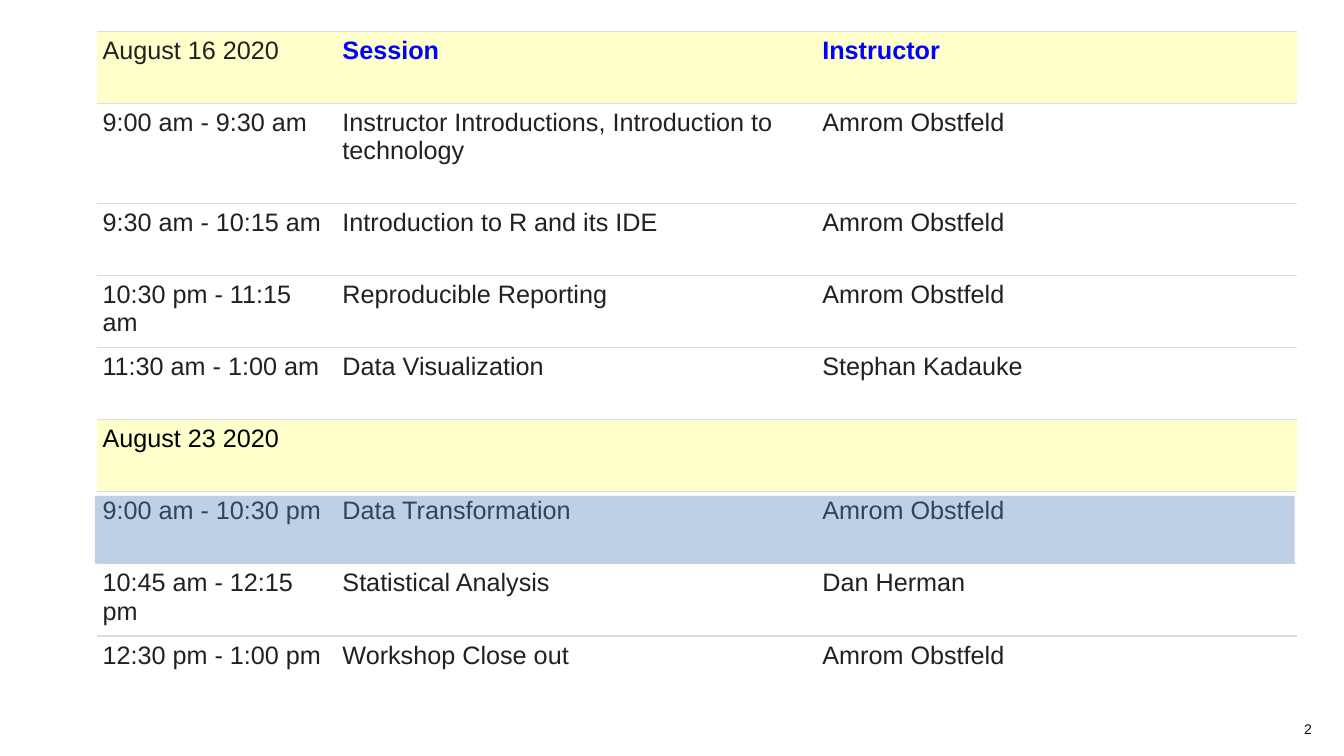
from dataclasses import dataclass

from lxml import etree
from pptx import Presentation
from pptx.dml.color import RGBColor
from pptx.enum.shapes import MSO_SHAPE
from pptx.enum.text import MSO_ANCHOR
from pptx.oxml.ns import qn
from pptx.slide import Slide
from pptx.table import _Cell
from pptx.text.text import _Paragraph
from pptx.util import Pt

RECTANGLE = MSO_SHAPE.RECTANGLE
MIDDLE = MSO_ANCHOR.MIDDLE

WHITE = RGBColor(0xFF, 0xFF, 0xFF)
BLACK = RGBColor(0x00, 0x00, 0x00)
INK = RGBColor(0x21, 0x21, 0x21)
PAGE_INK = RGBColor(0x0D, 0x0D, 0x0D)
HEADING_BLUE = RGBColor(0x00, 0x00, 0xFF)
DAY_YELLOW = RGBColor(0xFF, 0xFF, 0xCC)
HIGHLIGHT_BLUE = RGBColor(0x4F, 0x81, 0xBD)
RULE_GREY = RGBColor(0xDD, 0xDD, 0xDD)

FONT = "Arial"
COLUMN_WIDTHS = (171.4, 342.8, 342.8)
ROW_HEIGHT = 51.5
CELL_MARGIN = 3.75


@dataclass(frozen=True)
class Box:
    left: float
    top: float
    width: float
    height: float

    def emu(self) -> tuple[Pt, Pt, Pt, Pt]:
        return Pt(self.left), Pt(self.top), Pt(self.width), Pt(self.height)


@dataclass(frozen=True)
class Row:
    time: str
    session: str = ""
    instructor: str = ""
    height: float = ROW_HEIGHT
    fill: RGBColor = WHITE
    time_color: RGBColor = INK
    heading: bool = False


SCHEDULE = (
    Row("August 16 2020", "Session", "Instructor", fill=DAY_YELLOW, heading=True),
    Row("9:00 am - 9:30 am", "Instructor Introductions, Introduction to technology",
        "Amrom Obstfeld", height=71.6),
    Row("9:30 am - 10:15 am", "Introduction to R and its IDE", "Amrom Obstfeld"),
    Row("10:30 pm - 11:15 am", "Reproducible Reporting", "Amrom Obstfeld"),
    Row("11:30 am - 1:00 am", "Data Visualization", "Stephan Kadauke"),
    Row("August 23 2020", fill=DAY_YELLOW, time_color=BLACK),
    Row("9:00 am - 10:30 pm", "Data Transformation", "Amrom Obstfeld"),
    Row("10:45 am - 12:15 pm", "Statistical Analysis", "Dan Herman"),
    Row("12:30 pm - 1:00 pm", "Workshop Close out", "Amrom Obstfeld"),
)

MARGIN_PATCH = Box(0, 16.6, 79.9, 169.2)
TABLE_BOX = Box(69.5, 22.3, sum(COLUMN_WIDTHS), sum(row.height for row in SCHEDULE))
HIGHLIGHT = Box(67.7, 354.3, 857, 48.2)
PAGE_NUMBER = Box(924.5, 509.8, 25.9, 21.6)


def style_text(paragraph: _Paragraph, size: float, color: RGBColor, bold: bool = False) -> None:
    font = paragraph.font
    for target in [font, *(run.font for run in paragraph.runs)]:
        target.name = FONT
        target.size = Pt(size)
        target.bold = bold
        target.color.rgb = color


def set_borders(cell: _Cell, ruled_sides: str) -> None:
    properties = cell._tc.get_or_add_tcPr()
    for position, side in enumerate("LRTB"):
        line = etree.Element(qn(f"a:ln{side}"), w=str(Pt(1)))
        if side in ruled_sides:
            fill = etree.SubElement(line, qn("a:solidFill"))
            etree.SubElement(fill, qn("a:srgbClr"), val=str(RULE_GREY))
        else:
            etree.SubElement(line, qn("a:noFill"))
        properties.insert(position, line)


def fill_cell(cell: _Cell, text: str, fill: RGBColor, color: RGBColor, bold: bool,
              ruled_sides: str) -> None:
    cell.fill.solid()
    cell.fill.fore_color.rgb = fill
    cell.margin_left = cell.margin_right = Pt(CELL_MARGIN)
    cell.margin_top = cell.margin_bottom = Pt(CELL_MARGIN)
    cell.text_frame.text = text
    paragraph = cell.text_frame.paragraphs[0]
    paragraph.space_after = Pt(15)
    style_text(paragraph, 18, color, bold)
    set_borders(cell, ruled_sides)


def add_schedule(slide: Slide) -> None:
    table = slide.shapes.add_table(len(SCHEDULE), len(COLUMN_WIDTHS), *TABLE_BOX.emu()).table
    table.first_row = False
    table.horz_banding = False
    for column, width in zip(table.columns, COLUMN_WIDTHS):
        column.width = Pt(width)
    for row_index, row in enumerate(SCHEDULE):
        table.rows[row_index].height = Pt(row.height)
        ruled_sides = "T" if row is SCHEDULE[-1] else "TB"
        for column_index, text in enumerate((row.time, row.session, row.instructor)):
            heading = row.heading and column_index > 0
            color = HEADING_BLUE if heading else INK if column_index else row.time_color
            fill_cell(table.cell(row_index, column_index), text, row.fill, color, heading,
                      ruled_sides)


def add_rectangle(slide: Slide, box: Box, fill: RGBColor, opacity: int = 100) -> None:
    shape = slide.shapes.add_shape(RECTANGLE, *box.emu())
    shape.shadow.inherit = False
    shape.fill.solid()
    shape.fill.fore_color.rgb = fill
    shape.line.fill.background()
    if opacity < 100:
        color = shape._element.spPr.find(f"{qn('a:solidFill')}/{qn('a:srgbClr')}")
        etree.SubElement(color, qn("a:alpha"), val=str(opacity * 1000))


def add_page_number(slide: Slide) -> None:
    text_frame = slide.shapes.add_textbox(*PAGE_NUMBER.emu()).text_frame
    text_frame.word_wrap = True
    text_frame.vertical_anchor = MIDDLE
    text_frame.text = "2"
    style_text(text_frame.paragraphs[0], 10, PAGE_INK)


def main() -> None:
    presentation = Presentation()
    presentation.slide_width = Pt(960)
    presentation.slide_height = Pt(540)
    slide = presentation.slides.add_slide(presentation.slide_layouts[6])
    add_rectangle(slide, MARGIN_PATCH, WHITE)
    add_schedule(slide)
    add_page_number(slide)
    add_rectangle(slide, HIGHLIGHT, HIGHLIGHT_BLUE, opacity=37)
    presentation.save("out.pptx")


if __name__ == "__main__":
    main()
